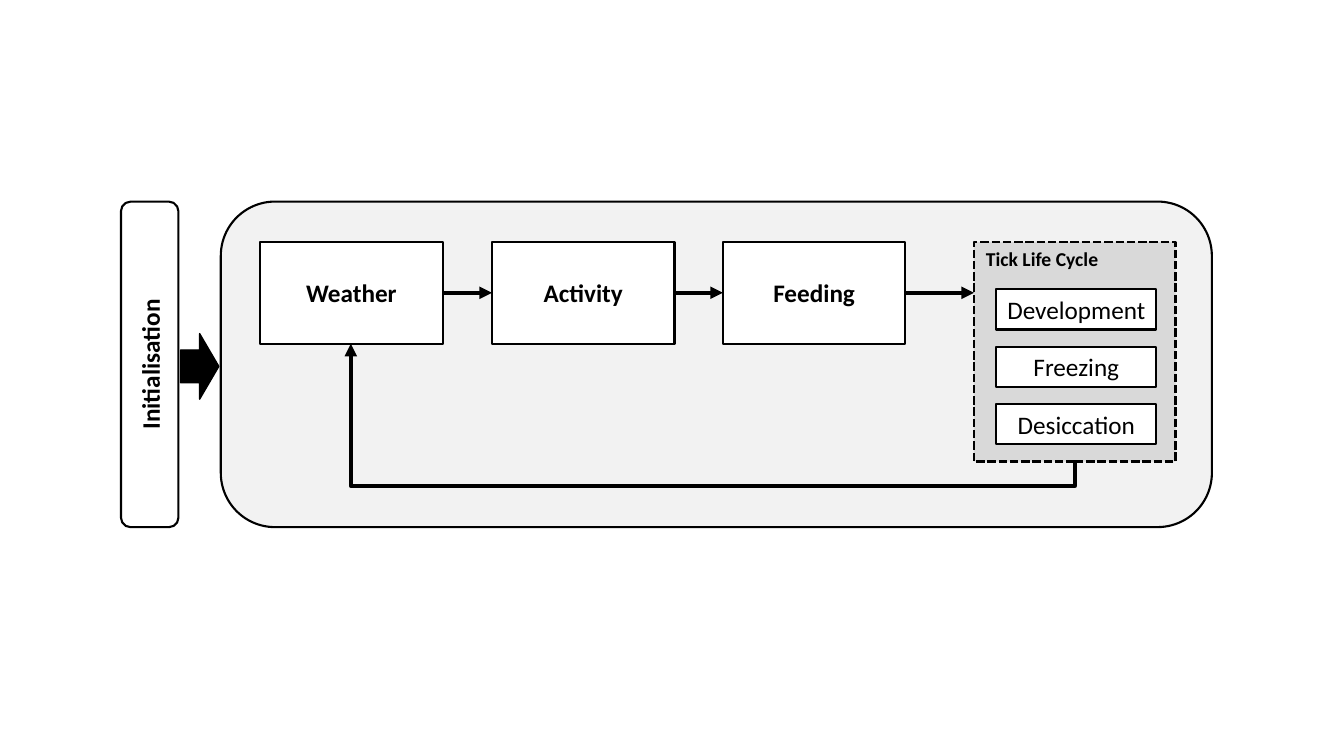
"""Build a flow diagram of a tick population model with its daily cycle."""
from lxml import etree
from pptx import Presentation
from pptx import util as u
from pptx.dml.color import RGBColor
from pptx.enum import dml, shapes, text
from pptx.oxml import ns

PX = 9144
BLACK = RGBColor(0x00, 0x00, 0x00)
WHITE = RGBColor(0xFF, 0xFF, 0xFF)
PALE = RGBColor(0xF2, 0xF2, 0xF2)
GREY = RGBColor(0xD9, 0xD9, 0xD9)
KIND = shapes.MSO_SHAPE
LINK = shapes.MSO_CONNECTOR

deck = Presentation()
deck.slide_width, deck.slide_height = 1333 * PX, 750 * PX
page = deck.slides.add_slide(deck.slide_layouts[6])


def add_box(kind, frame, fill, weight=1.5, label="", bold=False):
    box = page.shapes.add_shape(kind, *[side * PX for side in frame])
    box.shadow.inherit = False
    box.fill.solid()
    box.fill.fore_color.rgb = fill
    box.line.color.rgb = BLACK
    box.line.width = u.Pt(weight)
    if label:
        box.text_frame.word_wrap = True
        box.text_frame.vertical_anchor = text.MSO_ANCHOR.MIDDLE
        para = box.text_frame.paragraphs[0]
        para.alignment = text.PP_ALIGN.CENTER
        span = para.add_run()
        span.text = label
        span.font.name = "Calibri"
        span.font.size = u.Pt(18)
        span.font.bold = bold
        span.font.color.rgb = BLACK
    return box


def add_arrow(kind, start_x, start_y, end_x, end_y):
    arrow = page.shapes.add_connector(kind, start_x, start_y, end_x, end_y)
    arrow.line.color.rgb = BLACK
    arrow.line.width = u.Pt(3)
    etree.SubElement(arrow.line._get_or_add_ln(), ns.qn("a:tailEnd"), type="triangle")
    etree.SubElement(arrow._element.spPr, ns.qn("a:effectLst"))
    return arrow


add_box(KIND.ROUNDED_RECTANGLE, (219, 200, 983, 323), PALE)

steps = [
    add_box(KIND.RECTANGLE, (left, 240, 181, 101), WHITE, label=label, bold=True)
    for left, label in ((258, "Weather"), (488, "Activity"), (717, "Feeding"))
]

life_cycle = add_box(KIND.RECTANGLE, (966, 240, 200, 218), GREY, weight=2)
life_cycle.line.dash_style = dml.MSO_LINE.SQUARE_DOT
for row, process in enumerate(("Development", "Freezing", "Desiccation")):
    process_box = add_box(KIND.RECTANGLE, (988, 287 + 57 * row, 159, 40), WHITE, label=process)
    process_box.text_frame.word_wrap = False

heading = page.shapes.add_textbox(968 * PX, 240 * PX, 171 * PX, 34 * PX)
heading.text_frame.word_wrap = True
span = heading.text_frame.paragraphs[0].add_run()
span.text = "Tick Life Cycle"
span.font.name = "Calibri"
span.font.size = u.Pt(14)
span.font.bold = True
span.font.color.rgb = BLACK

for step, target in zip(steps, steps[1:] + [life_cycle]):
    middle = step.top + step.height // 2
    arrow = add_arrow(LINK.STRAIGHT, step.left + step.width, middle, target.left, middle)
    arrow.begin_connect(step, 3)
    if target is not life_cycle:
        arrow.end_connect(target, 1)

feedback = add_arrow(LINK.ELBOW, 765 * PX, 40 * PX, 649 * PX, 758 * PX)
feedback._element.spPr.find(ns.qn("a:xfrm")).set("rot", "5400000")
adjustments = feedback._element.spPr.find(ns.qn("a:prstGeom")).get_or_add_avLst()
etree.SubElement(adjustments, ns.qn("a:gd"), name="adj1", fmla="val -21500")

initialisation = add_box(
    KIND.ROUNDED_RECTANGLE, (-13, 333, 323, 57), WHITE, label="Initialisation", bold=True
)
initialisation.rotation = 270
add_box(KIND.RIGHT_ARROW, (179, 331, 38, 65), BLACK, weight=1)

deck.save("out.pptx")
